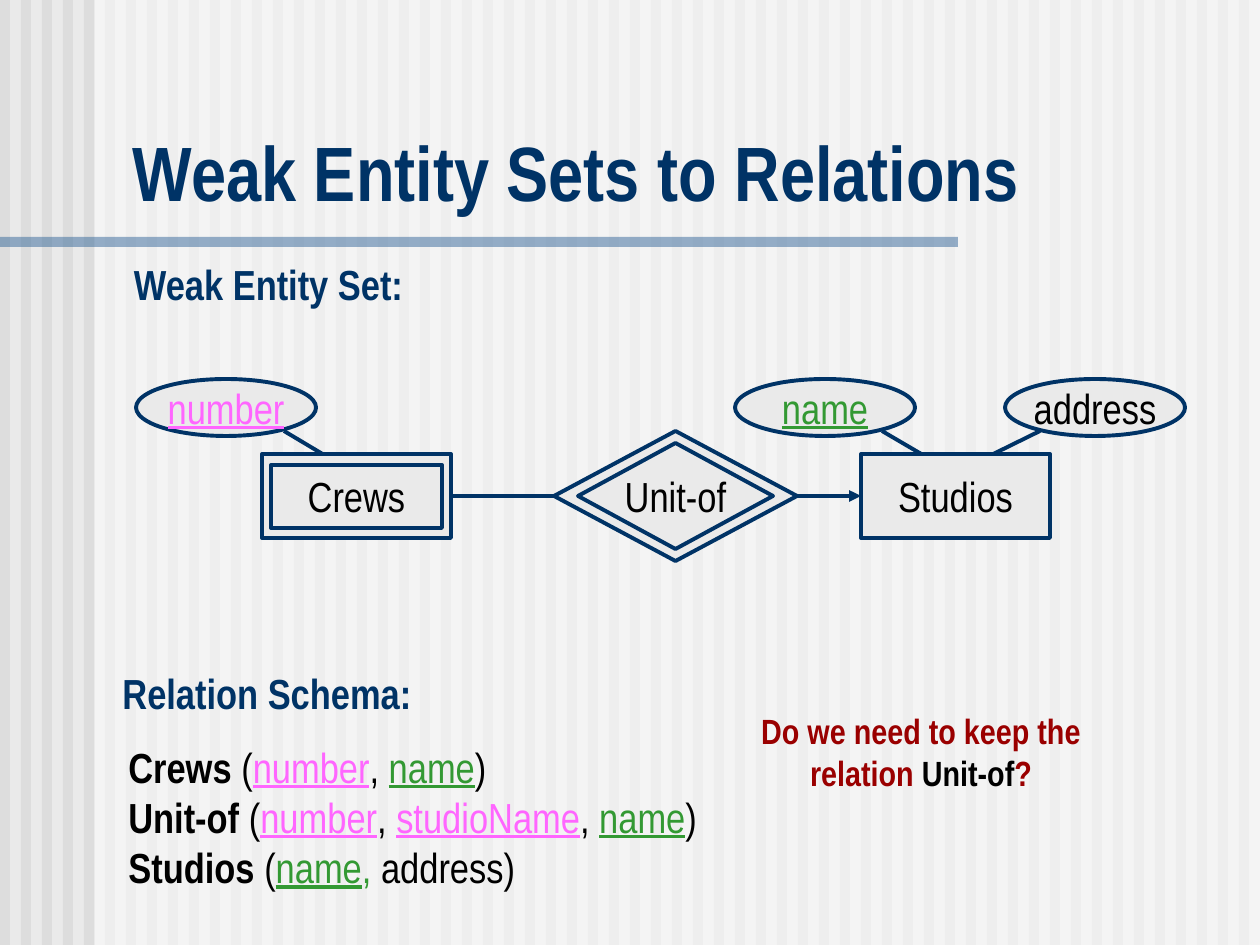
from lxml.etree import SubElement
from pptx import Presentation
from pptx.dml.color import RGBColor
from pptx.enum.shapes import MSO_CONNECTOR, MSO_SHAPE
from pptx.enum.text import MSO_ANCHOR, MSO_AUTO_SIZE, PP_ALIGN
from pptx.oxml.ns import qn
from pptx.util import Emu, Pt

PX = 914400 / 126
WIDTH, HEIGHT = 1260, 945
NAVY, BLUE, GREY, STRIPE, WHITE = "003366", "336699", "EAEAEA", "DDDDDD", "FFFFFF"
BLACK, PINK, GREEN, RED = "000000", "FF66FF", "339933", "9A0000"

PLAIN = {"color": BLACK}
BOLD = {"color": BLACK, "bold": True}
HEADING = {"color": NAVY, "bold": True}
QUESTION = {"color": RED, "bold": True, "size": 20}
PINK_KEY = {"color": PINK, "underline": True}
GREEN_KEY = {"color": GREEN, "underline": True}

SCHEMA = [
    [("Crews ", BOLD), ("(", PLAIN), ("number", PINK_KEY), (", ", PLAIN),
     ("name", GREEN_KEY), (")", PLAIN)],
    [("Unit-of ", BOLD), ("(", PLAIN), ("number", PINK_KEY), (", ", PLAIN),
     ("studioName", PINK_KEY), (", ", PLAIN), ("name", GREEN_KEY), (")", PLAIN)],
    [("Studios ", BOLD), ("(", PLAIN), ("name", GREEN_KEY),
     (", ", {"color": GREEN}), ("address)", PLAIN)],
]


def px(*lengths):
    """Turn pixel lengths into EMU."""
    return [Emu(round(length * PX)) for length in lengths]


def paint(target, color):
    """Give a fill or a line format a solid colour."""
    target.solid()
    target.fore_color.rgb = RGBColor.from_string(color)


def write(frame, paragraphs, align=PP_ALIGN.LEFT, **frame_format):
    """Fill a text frame with paragraphs of (text, format) spans."""
    frame_format = {"word_wrap": False, "auto_size": MSO_AUTO_SIZE.NONE} | frame_format
    for name, value in frame_format.items():
        setattr(frame, name, value)
    for index, spans in enumerate(paragraphs):
        para = frame.add_paragraph() if index else frame.paragraphs[0]
        para.alignment = align
        for text, span_format in spans:
            span = para.add_run()
            span.text = text
            values = {"name": "Arial Narrow", "size": 24, "bold": False} | span_format
            paint(span.font.fill, values.pop("color"))
            values["size"] = Pt(values["size"])
            for name, value in values.items():
                setattr(span.font, name, value)


def add_text(page, bounds, paragraphs, **layout):
    """Add a text box."""
    box = page.shapes.add_textbox(*px(*bounds))
    write(box.text_frame, paragraphs, **layout)


def add_band(group, bounds, color, alpha=None):
    """Add a borderless rectangle, see-through when alpha is given in percent."""
    band = group.shapes.add_shape(MSO_SHAPE.RECTANGLE, *px(*bounds))
    band.shadow.inherit = False
    band.line.fill.background()
    paint(band.fill, color)
    if alpha:
        tint = band.fill._xPr.find(".//" + qn("a:srgbClr"))
        SubElement(tint, qn("a:alpha"), val=str(alpha * 1000))


def add_backdrop(page):
    """Paint the striped background, its veil and the title rule."""
    paint(page.background.fill, GREY)
    backdrop = page.shapes.add_group_shape()
    for left in range(0, WIDTH, 21):
        add_band(backdrop, (left, 0, 10, HEIGHT), STRIPE)
    add_band(backdrop, (95, 0, WIDTH - 95, HEIGHT), WHITE, 50)
    add_band(backdrop, (0, 237, 958, 10), BLUE, 50)


def add_title(page, text):
    """Place the title above the backdrop."""
    title = page.shapes.title
    page.shapes._spTree.append(title._element)
    title.left, title.top, title.width, title.height = px(120, 118, 1125, 105)
    write(title.text_frame, [[(text, HEADING | {"size": 44})]],
          word_wrap=True, vertical_anchor=MSO_ANCHOR.BOTTOM)


def add_node(page, kind, bounds, text=None, span_format=PLAIN):
    """Add an outlined diagram shape, hollow when it has no text."""
    node = page.shapes.add_shape(kind, *px(*bounds))
    node.shadow.inherit = False
    node.line.width = Pt(2.25)
    paint(node.line.fill, NAVY)
    if text:
        paint(node.fill, GREY)
        write(node.text_frame, [[(text, span_format)]], PP_ALIGN.CENTER,
              vertical_anchor=MSO_ANCHOR.MIDDLE)
    else:
        node.fill.background()
    return node


def add_link(page, start=(0, 0), end=(0, 0)):
    """Add a straight navy connector."""
    link = page.shapes.add_connector(MSO_CONNECTOR.STRAIGHT, *px(*start, *end))
    link.line.width = Pt(2.25)
    paint(link.line.fill, NAVY)
    SubElement(link._element.spPr, qn("a:effectLst"))
    return link


def join(page, source, target, arrow=False):
    """Link the right side of one node to the left side of another."""
    link = add_link(page)
    link.begin_connect(source, 3)
    link.end_connect(target, 1)
    if arrow:
        SubElement(link.line._get_or_add_ln(), qn("a:tailEnd"), type="triangle")


def add_diagram(page):
    """Draw the entities, their relationship and their attributes."""
    for start, end in [((284, 431), (336, 462)), ((882, 431), (935, 462)),
                       ((1040, 431), (977, 462))]:
        add_link(page, start, end)
    for left, text, span_format in [(136, "number", PINK_KEY), (735, "name", GREEN_KEY),
                                    (1005, "address", PLAIN)]:
        add_node(page, MSO_SHAPE.OVAL, (left, 379, 180, 57), text, span_format)
    crews = add_node(page, MSO_SHAPE.RECTANGLE, (262, 454, 189, 84), "Crews")
    unit_of = add_node(page, MSO_SHAPE.DIAMOND, (554, 431, 243, 130), "Unit-of")
    studios = add_node(page, MSO_SHAPE.RECTANGLE, (861, 454, 189, 84), "Studios")
    add_node(page, MSO_SHAPE.RECTANGLE, (271, 465, 171, 63))
    add_node(page, MSO_SHAPE.DIAMOND, (578, 443, 195, 106))
    join(page, crews, unit_of)
    join(page, unit_of, studios, arrow=True)


def main():
    """Build the slide and save the deck."""
    deck = Presentation()
    deck.slide_width, deck.slide_height = px(WIDTH, HEIGHT)
    page = deck.slides.add_slide(deck.slide_layouts[5])
    add_backdrop(page)
    add_title(page, "Weak Entity Sets to Relations")
    for bounds, text in [((121, 252, 295, 63), "Weak Entity Set:"),
                         ((110, 661, 314, 63), "Relation Schema:")]:
        add_text(page, bounds, [[(text, HEADING)]], align=PP_ALIGN.CENTER)
    add_text(page, (116, 735, 798, 164), SCHEMA, word_wrap=True)
    add_diagram(page)
    question = [("Do we need to keep the relation ", QUESTION),
                ("Unit-of", QUESTION | {"color": BLACK}), ("?", QUESTION)]
    add_text(page, (735, 703, 372, 97), [question], align=PP_ALIGN.CENTER, word_wrap=True)
    deck.save("out.pptx")


if __name__ == "__main__":
    main()
